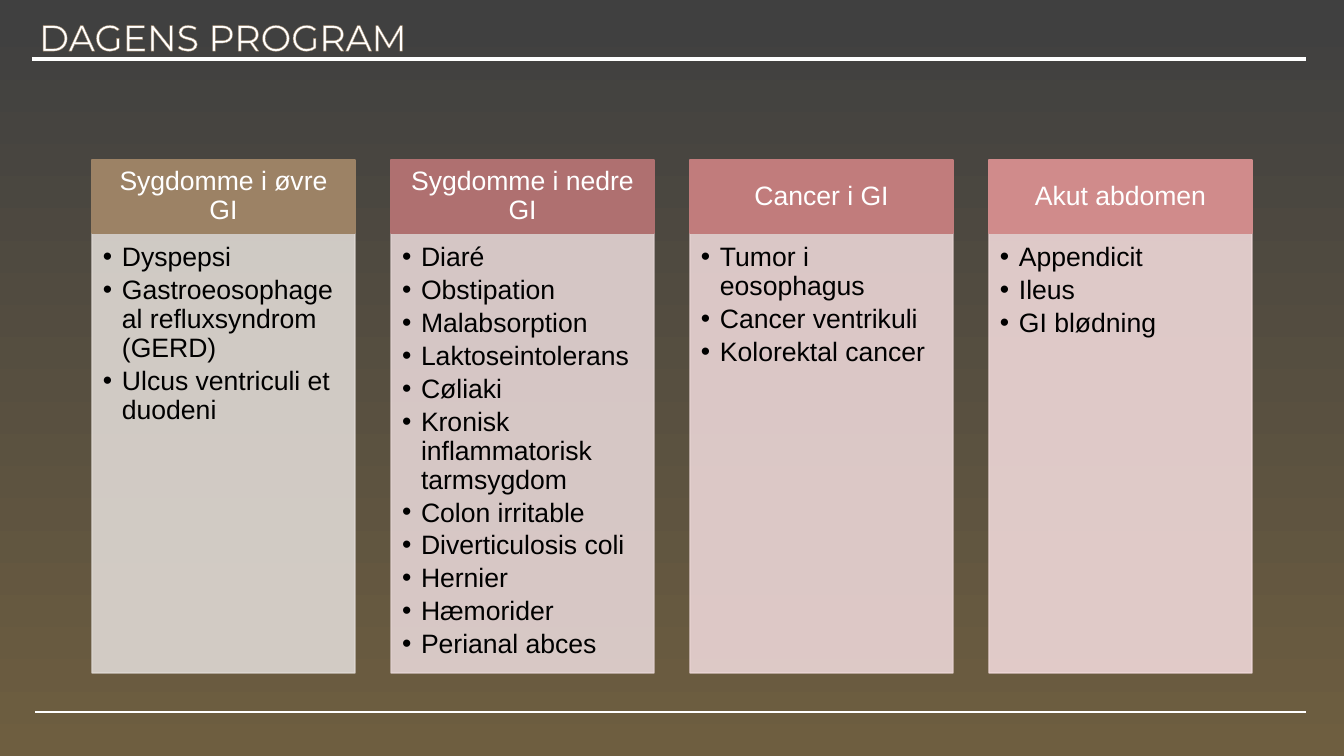
from lxml.etree import SubElement
from pptx import Presentation
from pptx.dml.color import RGBColor
from pptx.enum.shapes import MSO_CONNECTOR, MSO_SHAPE
from pptx.enum.text import MSO_ANCHOR, MSO_AUTO_SIZE, PP_ALIGN
from pptx.oxml.ns import qn
from pptx.util import Emu, Pt

COLORS = {
    "white": "FFFFFF", "black": "000000", "top": "404040", "bottom": "6E5E40",
    "sand": "9C8265", "sand_light": "DED8D3",
    "plum": "AF7070", "plum_light": "E4D4D4",
    "rose": "C17C7C", "rose_light": "EAD5D5",
    "pink": "D08B8B", "pink_light": "EED7D7",
}

PROGRAM = [
    ("Sygdomme i øvre GI", "sand",
     ["Dyspepsi", "Gastroeosophageal refluxsyndrom (GERD)",
      "Ulcus ventriculi et duodeni"]),
    ("Sygdomme i nedre GI", "plum",
     ["Diaré", "Obstipation", "Malabsorption", "Laktoseintolerans", "Cøliaki",
      "Kronisk inflammatorisk tarmsygdom", "Colon irritable",
      "Diverticulosis coli", "Hernier", "Hæmorider", "Perianal abces"]),
    ("Cancer i GI", "rose",
     ["Tumor i eosophagus", "Cancer ventrikuli", "Kolorektal cancer"]),
    ("Akut abdomen", "pink", ["Appendicit", "Ileus", "GI blødning"]),
]


def px(n):
    """Turn pixels into EMU."""
    return Emu(round(n * 12192000 / 1344))


def rgb(name):
    """Look up a named colour."""
    return RGBColor.from_string(COLORS[name])


class Deck:
    """Hold the style and the current slide."""

    def __init__(self):
        """Start a presentation with one slide."""
        self.prs = Presentation()
        self.prs.slide_width, self.prs.slide_height = px(1344), px(756)
        self.s = self.prs.slides.add_slide(self.prs.slide_layouts[4])
        self.bodies = [p for p in self.s.placeholders
                       if p.placeholder_format.idx > 0]

    def background(self, top, bottom):
        """Shade the slide from top to bottom."""
        fill = self.s.background.fill
        fill.gradient()
        fill.gradient_angle = 270
        for stop, name, pos in zip(fill.gradient_stops, (top, bottom), (0.02, 1)):
            stop.color.rgb, stop.position = rgb(name), pos

    def line(self, x1, x2, y, width):
        """Draw a horizontal white rule."""
        c = self.s.shapes.add_connector(
            MSO_CONNECTOR.STRAIGHT, px(x1), px(y), px(x2), px(y))
        c.line.color.rgb, c.line.width = rgb("white"), Pt(width)
        SubElement(c._element.spPr, qn("a:effectLst"))

    def place(self, sp, box):
        """Move and size a shape."""
        sp.left, sp.top, sp.width, sp.height = map(px, box)

    def paint(self, sp, name):
        """Give a shape its fill and an equal line."""
        sp.fill.solid()
        sp.fill.fore_color.rgb = sp.line.color.rgb = rgb(name)
        sp.line.width = Pt(1)

    def set_text(self, sp, text, insets, anchor, align, size, font, color):
        """Set and format the text of a shape."""
        tf = sp.text_frame
        tf.text = text
        tf.word_wrap, tf.auto_size = True, MSO_AUTO_SIZE.NONE
        tf.vertical_anchor = anchor
        (tf.margin_left, tf.margin_top,
         tf.margin_right, tf.margin_bottom) = map(px, insets)
        for p in tf.paragraphs:
            p.alignment, p.line_spacing, p.space_before = align, 0.9, Pt(0)
            for r in p.runs:
                r.font.size, r.font.name, r.font.bold = Pt(size), font, False
                r.font.color.rgb = rgb(color)

    def title(self, text, box):
        """Fill the title placeholder with outlined letters."""
        sp = self.s.shapes.title
        self.place(sp, box)
        self.set_text(sp, text, (0, 0, 0, 0), MSO_ANCHOR.BOTTOM,
                      PP_ALIGN.LEFT, 26, "Montserrat", "white")
        rPr = sp.text_frame.paragraphs[0].runs[0]._r.get_or_add_rPr()
        ln = SubElement(rPr, qn("a:ln"), w=str(Pt(0.75)))
        fill = SubElement(ln, qn("a:solidFill"))
        SubElement(fill, qn("a:srgbClr"), val=COLORS["sand"])
        rPr.insert(0, ln)

    def header(self, text, box, color):
        """Add a coloured column heading."""
        sp = self.s.shapes.add_shape(MSO_SHAPE.RECTANGLE, *map(px, box))
        sp.shadow.inherit = False
        self.paint(sp, color)
        self.set_text(sp, text, (15, 8, 15, 8), MSO_ANCHOR.MIDDLE,
                      PP_ALIGN.CENTER, 19, "Arial", "white")

    def bullets(self, sp, items, box, color):
        """Fill a body placeholder with a bulleted list."""
        self.place(sp, box)
        self.paint(sp, color)
        for clr in sp._element.spPr.iter(qn("a:srgbClr")):
            SubElement(clr, qn("a:alpha"), val="90000")
        self.set_text(sp, "\n".join(items), (11, 11, 15, 17), MSO_ANCHOR.TOP,
                      PP_ALIGN.LEFT, 19, "Arial", "black")
        for p in sp.text_frame.paragraphs:
            p.space_after = Pt(3)
            pPr = p._p.get_or_add_pPr()
            pPr.set("marL", str(px(19)))
            pPr.set("indent", str(-px(19)))
            SubElement(pPr, qn("a:buFont"), typeface="Arial")
            SubElement(pPr, qn("a:buChar"), char="•")


def main():
    """Build the programme slide."""
    deck = Deck()
    deck.background("top", "bottom")
    deck.line(32, 1306, 59, 3.5)
    deck.line(35, 1306, 712, 1)
    deck.title("DAGENS PROGRAM", (39, 20, 646, 39))
    for i, (heading, color, items) in enumerate(PROGRAM):
        x = 92 + i * 299
        deck.header(heading, (x, 160, 263, 73), color)
        deck.bullets(deck.bodies[i], items, (x, 233, 263, 440), color + "_light")
    deck.prs.save("out.pptx")


if __name__ == "__main__":
    main()
